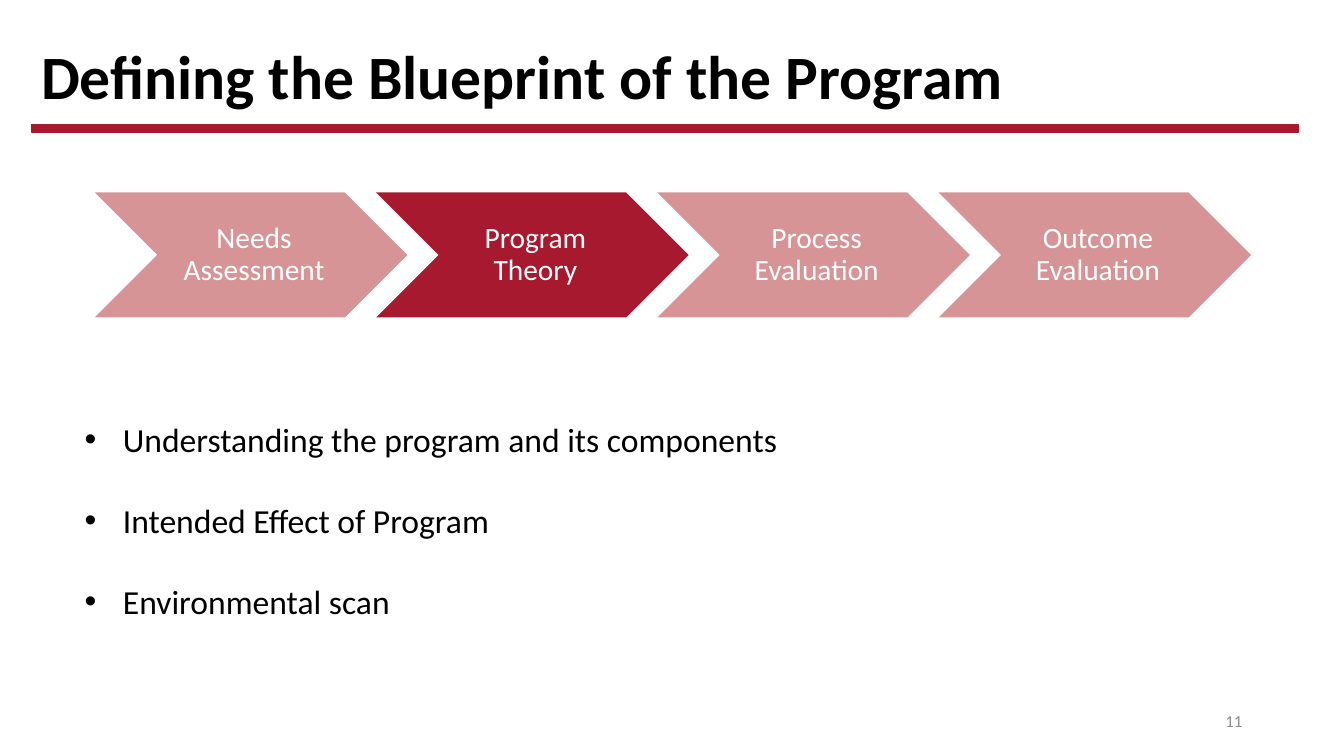
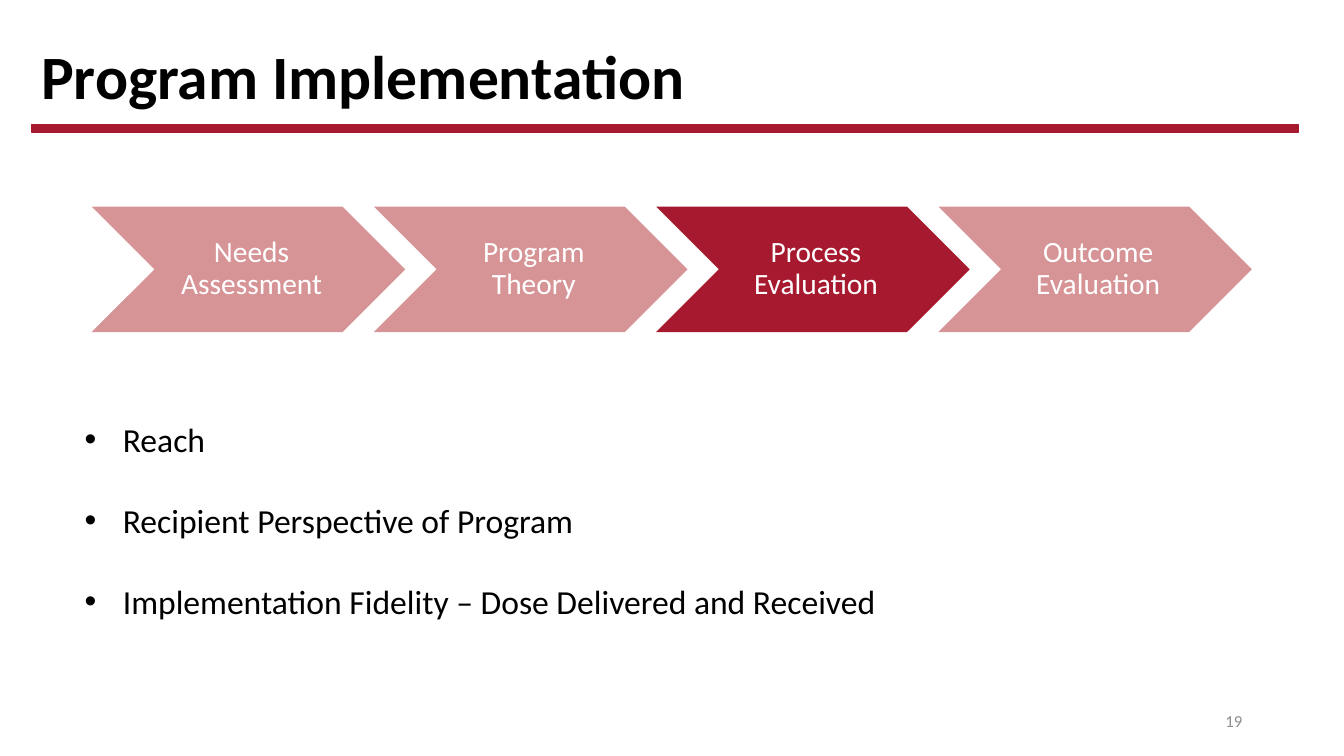
from pptx import Presentation
from pptx.dml.color import RGBColor
from pptx.enum import shapes, text
from pptx.oxml import ns
from pptx.util import Inches, Pt
from lxml import etree

# Content
STAGES = ["Needs Assessment", "Program Theory", "Process Evaluation", "Outcome Evaluation"]
SLIDES = [
    {
        "title": "Defining the Blueprint of the Program",
        "number": "11",
        "active": "Program Theory",
        "chevrons": (0.94, 1.91, 3.1),  # left, top, width
        "bullets": [
            "Understanding the program and its components",
            "Intended Effect of Program",
            "Environmental scan",
        ],
    },
    {
        "title": "Program Implementation",
        "number": "19",
        "active": "Process Evaluation",
        "chevrons": (0.91, 2.05, 3.11),
        "bullets": [
            "Reach",
            "Recipient Perspective of Program",
            "Implementation Fidelity – Dose Delivered and Received",
        ],
    },
]

# Shared style
FONT = "Calibri"
BLACK = RGBColor(0x00, 0x00, 0x00)
WHITE = RGBColor(0xFF, 0xFF, 0xFF)
GRAY = RGBColor(0x8C, 0x8C, 0x8C)
CRIMSON = RGBColor(0xA6, 0x19, 0x2E)
PINK = RGBColor(0xD7, 0x94, 0x97)
MIDDLE = text.MSO_ANCHOR.MIDDLE
STEP_RATIO = 0.9  # chevrons overlap by a tenth of their width
HEIGHT_RATIO = 0.4
BULLET_INDENT = Inches(0.38)


def add_text(para, words, size, color, bold=False):
    span = para.add_run()
    span.text = words
    span.font.name = FONT
    span.font.size = Pt(size)
    span.font.bold = bold
    span.font.color.rgb = color


def add_box(page, left, top, width, height, anchor=text.MSO_ANCHOR.TOP):
    box = page.shapes.add_textbox(Inches(left), Inches(top), Inches(width), Inches(height))
    box.text_frame.word_wrap = True
    box.text_frame.vertical_anchor = anchor
    return box.text_frame


def add_shape(page, kind, left, top, width, height, color):
    shape = page.shapes.add_shape(kind, Inches(left), Inches(top), Inches(width), Inches(height))
    shape.shadow.inherit = False
    shape.fill.solid()
    shape.fill.fore_color.rgb = color
    shape.line.fill.background()
    return shape


def add_frame(page, title, number):
    """Title, rule below it and page number."""
    para = add_box(page, 0.31, 0.33, 11.5, 0.91, MIDDLE).paragraphs[0]
    para.line_spacing = 0.9
    add_text(para, title, 44, BLACK, bold=True)

    rule = add_shape(page, shapes.MSO_SHAPE.RECTANGLE, 0.31, 1.24, 12.57, 0.07, CRIMSON)
    rule.line.color.rgb = CRIMSON
    rule.line.width = Pt(1)

    para = add_box(page, 9.42, 6.95, 3, 0.4, MIDDLE).paragraphs[0]
    para.alignment = text.PP_ALIGN.RIGHT
    add_text(para, number, 12, GRAY)


def add_process(page, left, top, width, active):
    """Row of chevrons with the active stage in full colour."""
    for index, stage in enumerate(STAGES):
        chevron = add_shape(
            page, shapes.MSO_SHAPE.CHEVRON,
            left + index * width * STEP_RATIO, top, width, width * HEIGHT_RATIO,
            CRIMSON if stage == active else PINK,
        )
        frame = chevron.text_frame
        frame.word_wrap = True
        frame.vertical_anchor = MIDDLE
        frame.margin_left = Inches(0.09)
        frame.margin_right = frame.margin_top = frame.margin_bottom = Inches(0.03)
        para = frame.paragraphs[0]
        para.alignment = text.PP_ALIGN.CENTER
        para.line_spacing = 0.9
        add_text(para, stage, 21, WHITE)


def add_bullets(page, bullets):
    frame = add_box(page, 0.74, 4.11, 10.21, 2.12)
    for index, words in enumerate(bullets):
        para = frame.add_paragraph() if index else frame.paragraphs[0]
        if index:
            para.space_before = Pt(29)
        add_text(para, words, 24, BLACK)
        props = para._p.get_or_add_pPr()
        props.set("marL", str(BULLET_INDENT))
        props.set("indent", str(-BULLET_INDENT))
        etree.SubElement(props, ns.qn("a:buFont")).set("typeface", "Arial")
        etree.SubElement(props, ns.qn("a:buChar")).set("char", "•")


def main():
    deck = Presentation()
    deck.slide_width, deck.slide_height = Inches(13.33), Inches(7.5)
    for content in SLIDES:
        page = deck.slides.add_slide(deck.slide_layouts[6])
        add_frame(page, content["title"], content["number"])
        add_process(page, *content["chevrons"], content["active"])
        add_bullets(page, content["bullets"])
    deck.save("out.pptx")


if __name__ == "__main__":
    main()
